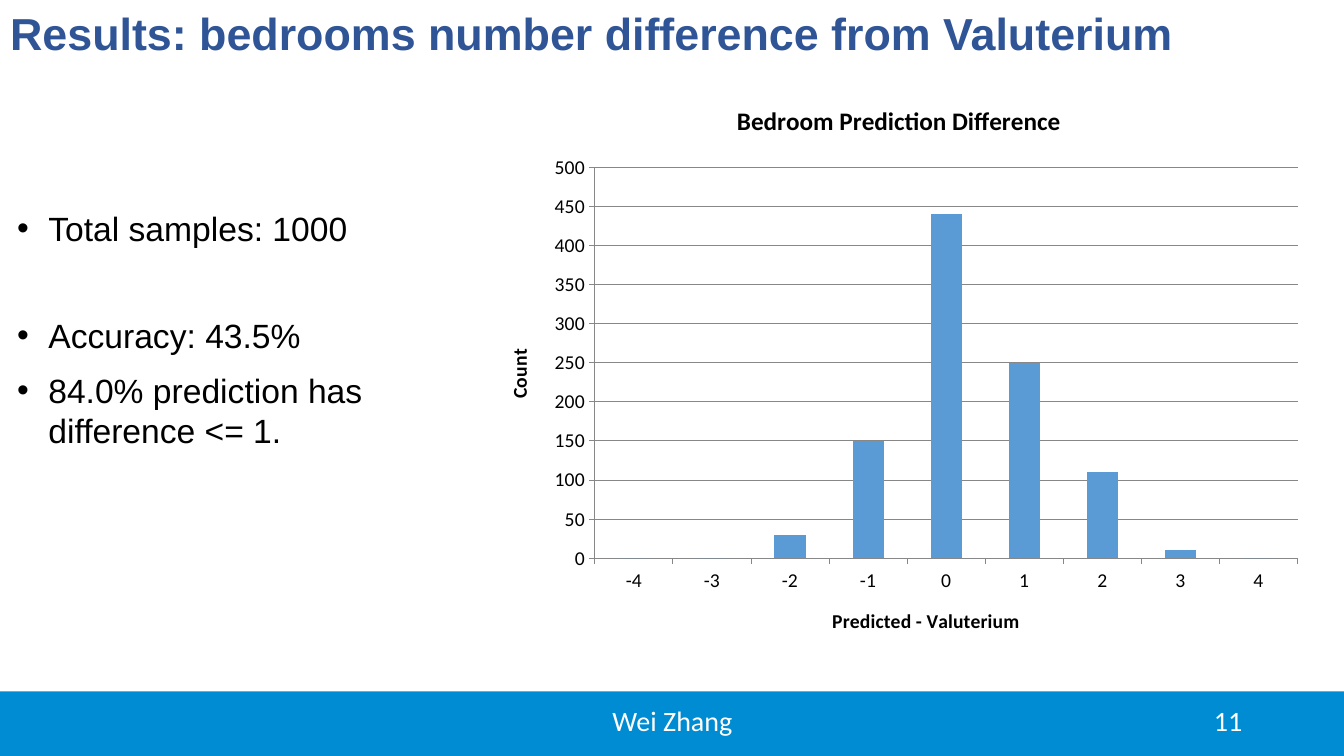
import pptx
import pptx.util
import pptx.dml.color
import pptx.chart.data
import pptx.enum.chart
import pptx.enum.shapes
import pptx.enum.text
import pptx.oxml
import pptx.oxml.ns

Inches, Pt = pptx.util.Inches, pptx.util.Pt
ALIGN = pptx.enum.text.PP_ALIGN
ANCHOR = pptx.enum.text.MSO_ANCHOR
FIT = pptx.enum.text.MSO_AUTO_SIZE

BLUE, NAVY, BAR = "008CD3", "2F5597", "5B9BD5"
WHITE, BLACK, GREY = "FFFFFF", "000000", "878787"


def color(code):
    return pptx.dml.color.RGBColor.from_string(code)


def apply(item, **values):
    for name, value in values.items():
        setattr(item, name, value)


class Deck:
    head, sans = "Arial", "Calibri"

    def __init__(self, wide, high):
        self.prs = pptx.Presentation()
        apply(self.prs, slide_width=Inches(wide), slide_height=Inches(high))
        self.slide = self.prs.slides.add_slide(self.prs.slide_layouts[1])

    def font(self, font, size, face, code, bold=False):
        apply(font, size=Pt(size), name=face, bold=bold)
        font.color.rgb = color(code)

    def place(self, shape, box):
        left, top, width, height = map(Inches, box)
        apply(shape, left=left, top=top, width=width, height=height)

    def title(self, text, box):
        shape = self.slide.shapes.title
        self.place(shape, box)
        frame = shape.text_frame
        apply(frame, text=text, auto_size=FIT.SHAPE_TO_FIT_TEXT,
              vertical_anchor=ANCHOR.TOP, word_wrap=True)
        frame.paragraphs[0].alignment = ALIGN.LEFT
        self.font(frame.paragraphs[0].runs[0].font, 32, self.head, NAVY, True)

    def bullets(self, items, box):
        shape = self.slide.placeholders[1]
        self.place(shape, box)
        frame = shape.text_frame
        apply(frame, text="\n".join(text for text, _ in items),
              auto_size=FIT.NONE, vertical_anchor=ANCHOR.TOP, word_wrap=True)
        for par, (_, above) in zip(frame.paragraphs, items):
            apply(par, space_before=Pt(above), space_after=Pt(5))
            self.font(par.runs[0].font, 24, self.head, BLACK)
            props = par._p.get_or_add_pPr()
            props.set("marL", str(Inches(0.31)))
            props.set("indent", str(-Inches(0.31)))
            mark = props.makeelement(pptx.oxml.ns.qn("a:buChar"), {"char": "•"})
            props.append(mark)

    def band(self, box):
        shape = self.slide.shapes.add_shape(
            pptx.enum.shapes.MSO_SHAPE.RECTANGLE, *map(Inches, box))
        shape.shadow.inherit = False
        shape.fill.solid()
        shape.fill.fore_color.rgb = color(BLUE)
        shape.line.fill.background()

    def label(self, text, box, align):
        shape = self.slide.shapes.add_textbox(*map(Inches, box))
        frame = shape.text_frame
        apply(frame, text=text, word_wrap=True, vertical_anchor=ANCHOR.MIDDLE)
        par = frame.paragraphs[0]
        par.alignment = align
        self.font(par.runs[0].font, 20, self.sans, WHITE)

    def heading(self, owner, text, size):
        frame = (owner.chart_title if hasattr(owner, "chart_title")
                 else owner.axis_title).text_frame
        frame.text = text
        self.font(frame.paragraphs[0].runs[0].font, size, self.sans, BLACK, True)

    def columns(self, title, names, cats, vals, box, inner):
        data = pptx.chart.data.CategoryChartData()
        data.categories = cats
        data.add_series("Series 1", vals)
        kind = pptx.enum.chart.XL_CHART_TYPE.COLUMN_CLUSTERED
        chart = self.slide.shapes.add_chart(
            kind, *map(Inches, box), data).chart
        self.font(chart.font, 14, self.sans, BLACK)
        chart.has_legend = False
        self.heading(chart, title, 18)

        # Axes
        for axis, name in zip((chart.category_axis, chart.value_axis), names):
            self.heading(axis, name, 14)
            axis.major_tick_mark = pptx.enum.chart.XL_TICK_MARK.OUTSIDE
            self.rule(axis.format.line)
        axis = chart.value_axis
        apply(axis, minimum_scale=0, maximum_scale=500, major_unit=50,
              has_major_gridlines=True)
        self.rule(axis.major_gridlines.format.line)

        # Bars
        plot = chart.plots[0]
        apply(plot, gap_width=150, vary_by_categories=False)
        fill = plot.series[0].format.fill
        fill.solid()
        fill.fore_color.rgb = color(BAR)

        # Plot area as shares of the chart's size
        shares = [part / whole for part, whole in zip(inner, box[2:] * 2)]
        self.frame(chart, dict(zip("xywh", shares)))

    def rule(self, line):
        line.width = Pt(0.75)
        line.color.rgb = color(GREY)

    def frame(self, chart, area):
        modes = {"layoutTarget": "inner", "xMode": "edge", "yMode": "edge"}
        body = "".join(f'<c:{tag} val="{val}"/>'
                       for tag, val in {**modes, **area}.items())
        layout = pptx.oxml.parse_xml(
            f'<c:layout {pptx.oxml.ns.nsdecls("c")}>'
            f'<c:manualLayout>{body}</c:manualLayout></c:layout>')
        plot = chart._chartSpace.chart.plotArea
        for old in plot.findall(pptx.oxml.ns.qn("c:layout")):
            plot.remove(old)
        plot.insert(0, layout)


def main():
    deck = Deck(13.33, 7.5)

    # Footer
    deck.band((0, 6.86, 13.33, 0.64))
    deck.label("11", (9.42, 6.95, 3, 0.4), ALIGN.RIGHT)
    deck.label("Wei Zhang", (4.42, 6.95, 4.5, 0.4), ALIGN.CENTER)

    # Title and findings
    deck.title("Results: bedrooms number difference from Valuterium",
               (0, 0.01, 13.33, 0.64))
    deck.bullets([("Total samples: 1000", 5),
                  ("Accuracy: 43.5%", 43),
                  ("84.0% prediction has difference <= 1.", 5)],
                 (0.07, 2.01, 4.55, 2.54))

    # Chart
    deck.columns("Bedroom Prediction Difference",
                 ("Predicted - Valuterium", "Count"),
                 [str(step) for step in range(-4, 5)],
                 (0, 0, 30, 150, 440, 250, 110, 10, 0),
                 (4.8, 0.81, 8.23, 5.71),
                 (1.1, 0.85, 6.97, 3.88))

    deck.prs.save("out.pptx")


if __name__ == "__main__":
    main()
